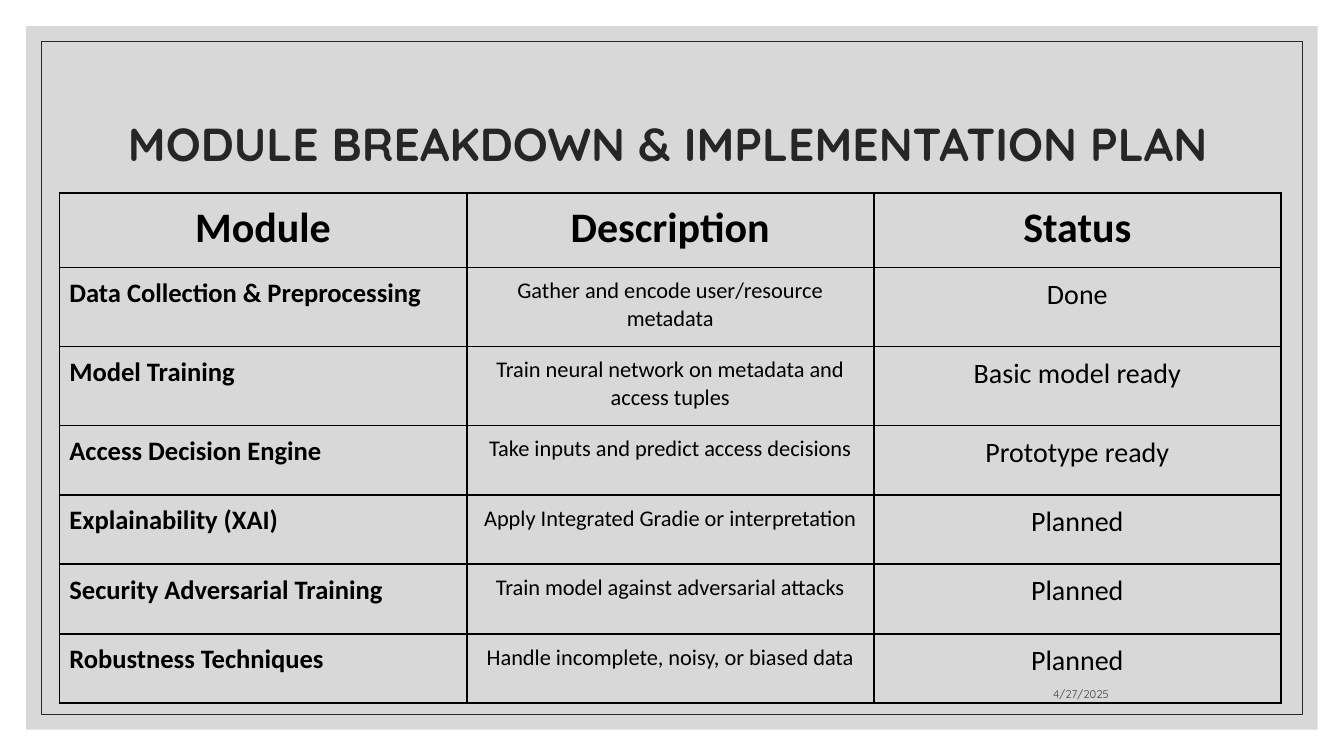
import pptx
import pptx.dml.color
import pptx.enum.shapes
import pptx.enum.text
import pptx.oxml
import pptx.oxml.ns
import pptx.util
from lxml import etree

Cm, Pt = pptx.util.Cm, pptx.util.Pt
RGBColor = pptx.dml.color.RGBColor
Align = pptx.enum.text.PP_ALIGN
Anchor = pptx.enum.text.MSO_ANCHOR
qn = pptx.oxml.ns.qn

TITLE = "MODULE BREAKDOWN & IMPLEMENTATION PLAN"
DATE = "4/27/2025"
HEADINGS = ("Module", "Description", "Status")
MODULES = [
    ("Data Collection & Preprocessing", "Gather and encode user/resource metadata", "Done"),
    ("Model Training", "Train neural network on metadata and access tuples", "Basic model ready"),
    ("Access Decision Engine", "Take inputs and predict access decisions", "Prototype ready"),
    ("Explainability (XAI)", "Apply Integrated Gradie or interpretation", "Planned"),
    ("Security Adversarial Training", "Train model against adversarial attacks", "Planned"),
    ("Robustness Techniques", "Handle incomplete, noisy, or biased data", "Planned"),
]

# Size, bold and alignment of the heading row and of each body column
HEADING_STYLE = (30, True, Align.CENTER)
COLUMN_STYLES = [(19, True, Align.LEFT), (16, False, Align.CENTER), (20, False, Align.CENTER)]

BLACK = RGBColor(0x00, 0x00, 0x00)
INK = RGBColor(0x26, 0x26, 0x26)
DATE_GREY = RGBColor(0x3F, 0x3F, 0x3F)
PANEL_GREY = RGBColor(0xBF, 0xBF, 0xBF)
PANEL_OPACITY = 60

SLIDE_WIDTH, SLIDE_HEIGHT = 33.87, 19.05
PANEL_MARGIN, FRAME_MARGIN = 0.66, 1.04
TABLE_LEFT, TABLE_TOP, COLUMN_WIDTH = 1.5, 4.86, 10.26
HEADING_HEIGHT, TWO_LINE_HEIGHT, ONE_LINE_HEIGHT = 1.88, 1.99, 1.75
ROW_HEIGHTS = [HEADING_HEIGHT] + [TWO_LINE_HEIGHT] * 2 + [ONE_LINE_HEIGHT] * 4
CELL_MARGIN = Cm(0.25)


def add_inset_rectangle(page, margin):
    """Add a rectangle that keeps the same margin to all slide edges."""
    rectangle = page.shapes.add_shape(
        pptx.enum.shapes.MSO_SHAPE.RECTANGLE, Cm(margin), Cm(margin),
        Cm(SLIDE_WIDTH - 2 * margin), Cm(SLIDE_HEIGHT - 2 * margin))
    rectangle.shadow.inherit = False
    return rectangle


def add_backdrop(page):
    panel = add_inset_rectangle(page, PANEL_MARGIN)
    panel.fill.solid()
    panel.fill.fore_color.rgb = PANEL_GREY
    panel.line.fill.background()
    colour = panel.element.spPr.find(".//" + qn("a:srgbClr"))
    etree.SubElement(colour, qn("a:alpha"), val=str(PANEL_OPACITY * 1000))

    frame = add_inset_rectangle(page, FRAME_MARGIN)
    frame.fill.background()
    frame.line.color.rgb = INK
    frame.line.width = Pt(0.75)


def write(text_frame, text, font_name, size, bold, colour, align):
    text_frame.text = text
    para = text_frame.paragraphs[0]
    para.alignment = align
    para.font.name = font_name
    para.font.size = Pt(size)
    para.font.bold = bold
    para.font.color.rgb = colour
    return para


def add_title(page):
    title = page.shapes.title
    title.left, title.top, title.width, title.height = Cm(2.97), Cm(1.78), Cm(27.94), Cm(3.81)
    title.text_frame.auto_size = pptx.enum.text.MSO_AUTO_SIZE.NONE
    title.text_frame.vertical_anchor = Anchor.MIDDLE
    para = write(title.text_frame, TITLE, "Quicksand", 33, True, INK, Align.LEFT)
    para.line_spacing = 0.9
    # The placeholder comes first in the stack; bring it in front of the panel
    title.element.getparent().append(title.element)


def add_date(page):
    box = page.shapes.add_textbox(Cm(20.17), Cm(16.76), Cm(8.03), Cm(1.02))
    box.text_frame.word_wrap = True
    box.text_frame.vertical_anchor = Anchor.BOTTOM
    write(box.text_frame, DATE, "Quicksand", 8, False, DATE_GREY, Align.RIGHT)


def add_borders(cell):
    properties = cell._tc.get_or_add_tcPr()
    for side in ("lnL", "lnR", "lnT", "lnB"):
        line = etree.SubElement(properties, qn("a:" + side), w=str(Pt(1.5)))
        fill = etree.SubElement(line, qn("a:solidFill"))
        etree.SubElement(fill, qn("a:srgbClr"), val=str(BLACK))


def add_module_table(page):
    rows = [HEADINGS] + MODULES
    table = page.shapes.add_table(
        len(rows), len(HEADINGS), Cm(TABLE_LEFT), Cm(TABLE_TOP),
        Cm(COLUMN_WIDTH * len(HEADINGS)), Cm(sum(ROW_HEIGHTS))).table
    table.first_row = table.horz_banding = False
    for column in table.columns:
        column.width = Cm(COLUMN_WIDTH)
    for row_index, (texts, height) in enumerate(zip(rows, ROW_HEIGHTS)):
        table.rows[row_index].height = Cm(height)
        for column_index, text in enumerate(texts):
            cell = table.cell(row_index, column_index)
            cell.margin_left = cell.margin_right = CELL_MARGIN
            cell.margin_top = cell.margin_bottom = CELL_MARGIN
            add_borders(cell)
            cell.fill.background()
            size, bold, align = COLUMN_STYLES[column_index] if row_index else HEADING_STYLE
            write(cell.text_frame, text, "Calibri", size, bold, BLACK, align)


def main():
    deck = pptx.Presentation()
    deck.slide_width, deck.slide_height = Cm(SLIDE_WIDTH), Cm(SLIDE_HEIGHT)
    page = deck.slides.add_slide(deck.slide_layouts.get_by_name("Title Only"))
    add_backdrop(page)
    add_title(page)
    add_date(page)
    add_module_table(page)
    deck.save("out.pptx")


if __name__ == "__main__":
    main()
